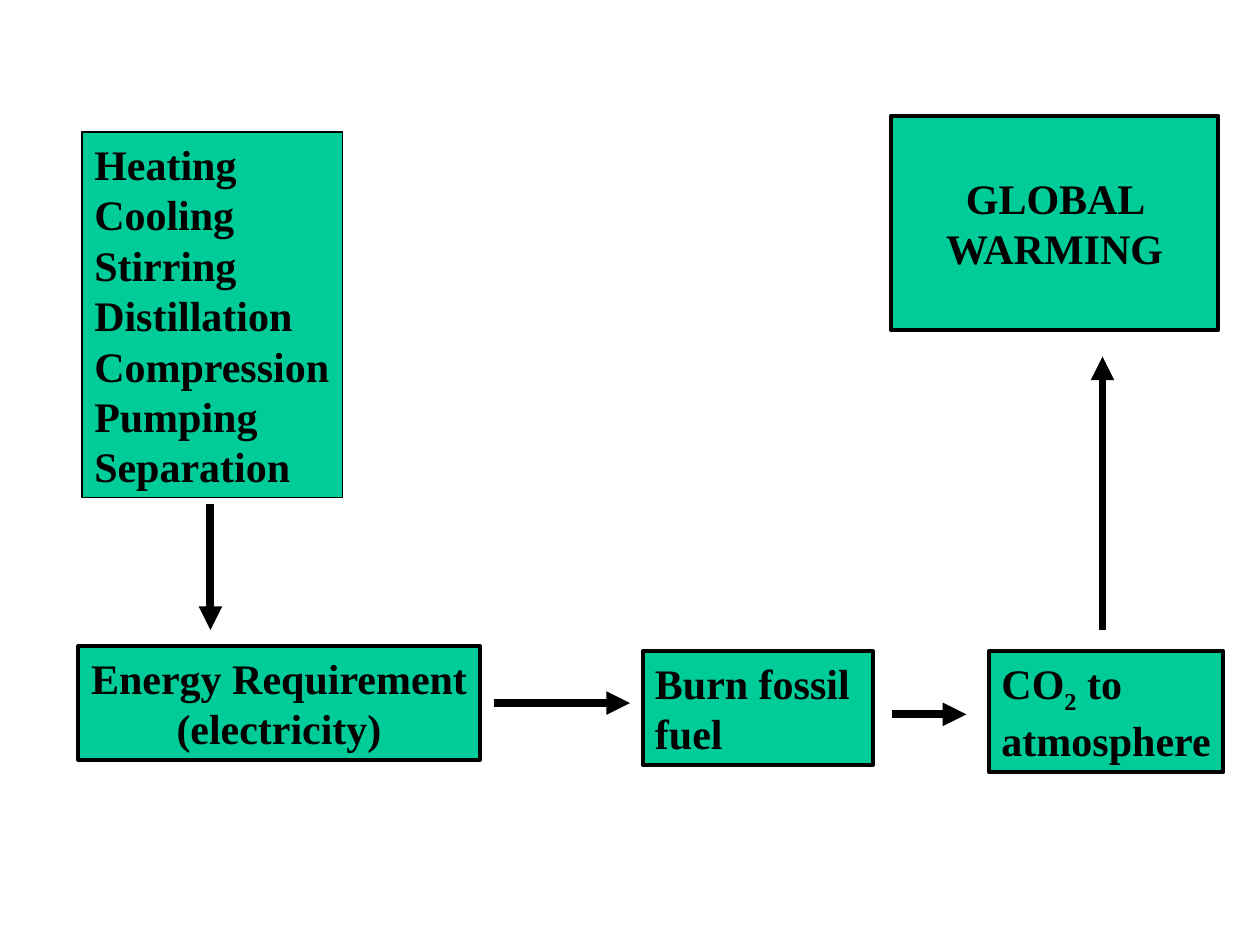
from dataclasses import dataclass

from lxml.etree import SubElement
from pptx import Presentation
from pptx.dml.color import RGBColor
from pptx.enum.shapes import MSO_CONNECTOR as Connector, MSO_SHAPE as ShapeKind
from pptx.enum.text import MSO_ANCHOR as Anchor, MSO_AUTO_SIZE as AutoSize, PP_ALIGN as Align
from pptx.oxml.ns import qn
from pptx.slide import Slide
from pptx.util import Inches, Pt

COLOURS = {"box": "00CC99", "ink": "000000"}
FONT_FORMAT = {"name": "Times New Roman", "size": Pt(24), "bold": True}
SUBSCRIPT = "-25000"


@dataclass
class Box:
    left: float
    top: float
    width: float
    height: float
    lines: list[str]
    align: Align = Align.LEFT
    border: float = 2.25
    wrap: bool = False


@dataclass
class Arrow:
    start: tuple[float, float]
    end: tuple[float, float]


BOXES = [
    Box(0.65, 1.05, 2.07, 2.9,
        ["Heating", "Cooling", "Stirring", "Distillation", "Compression", "Pumping", "Separation"],
        border=1),
    Box(0.62, 5.13, 3.19, 0.9, ["Energy Requirement", "(electricity)"], Align.CENTER),
    Box(5.1, 5.17, 1.83, 0.9, ["Burn fossil", "fuel"]),
    Box(7.85, 5.17, 1.86, 0.96, ["CO_2_ to", "atmosphere"]),
    Box(7.07, 0.92, 2.6, 1.7, ["GLOBAL WARMING"], Align.CENTER, wrap=True),
]

ARROWS = [
    Arrow((1.67, 4), (1.67, 5)),
    Arrow((3.92, 5.58), (5, 5.58)),
    Arrow((7.08, 5.67), (7.67, 5.67)),
    Arrow((8.75, 5), (8.75, 2.83)),
]


def colour(name: str) -> RGBColor:
    return RGBColor.from_string(COLOURS[name])


def add_line(paragraph, line: str) -> None:
    for index, text in enumerate(line.split("_")):
        run = paragraph.add_run()
        run.text = text
        for name, value in FONT_FORMAT.items():
            setattr(run.font, name, value)
        run.font.color.rgb = colour("ink")
        if index % 2:
            run.font._element.set("baseline", SUBSCRIPT)


def draw_box(slide: Slide, box: Box) -> None:
    place = map(Inches, (box.left, box.top, box.width, box.height))
    shape = slide.shapes.add_shape(ShapeKind.RECTANGLE, *place)
    shape.shadow.inherit = False
    shape.fill.solid()
    shape.fill.fore_color.rgb = colour("box")
    shape.line.color.rgb = colour("ink")
    shape.line.width = Pt(box.border)
    frame = shape.text_frame
    frame_format = {
        "word_wrap": box.wrap,
        "auto_size": AutoSize.NONE if box.wrap else AutoSize.SHAPE_TO_FIT_TEXT,
        "vertical_anchor": Anchor.MIDDLE if box.wrap else Anchor.TOP,
    }
    for name, value in frame_format.items():
        setattr(frame, name, value)
    for index, line in enumerate(box.lines):
        paragraph = frame.add_paragraph() if index else frame.paragraphs[0]
        paragraph.alignment = box.align
        add_line(paragraph, line)


def draw_arrow(slide: Slide, arrow: Arrow) -> None:
    points = map(Inches, (*arrow.start, *arrow.end))
    connector = slide.shapes.add_connector(Connector.STRAIGHT, *points)
    connector.line.color.rgb = colour("ink")
    connector.line.width = Pt(4.5)
    SubElement(connector.line._get_or_add_ln(), qn("a:tailEnd"), type="triangle")
    SubElement(connector._element.spPr, qn("a:effectLst"))


def main() -> None:
    presentation = Presentation()
    presentation.slide_width = Inches(10)
    presentation.slide_height = Inches(7.5)
    slide = presentation.slides.add_slide(presentation.slide_layouts[6])
    for box in BOXES:
        draw_box(slide, box)
    for arrow in ARROWS:
        draw_arrow(slide, arrow)
    presentation.save("out.pptx")


if __name__ == "__main__":
    main()
